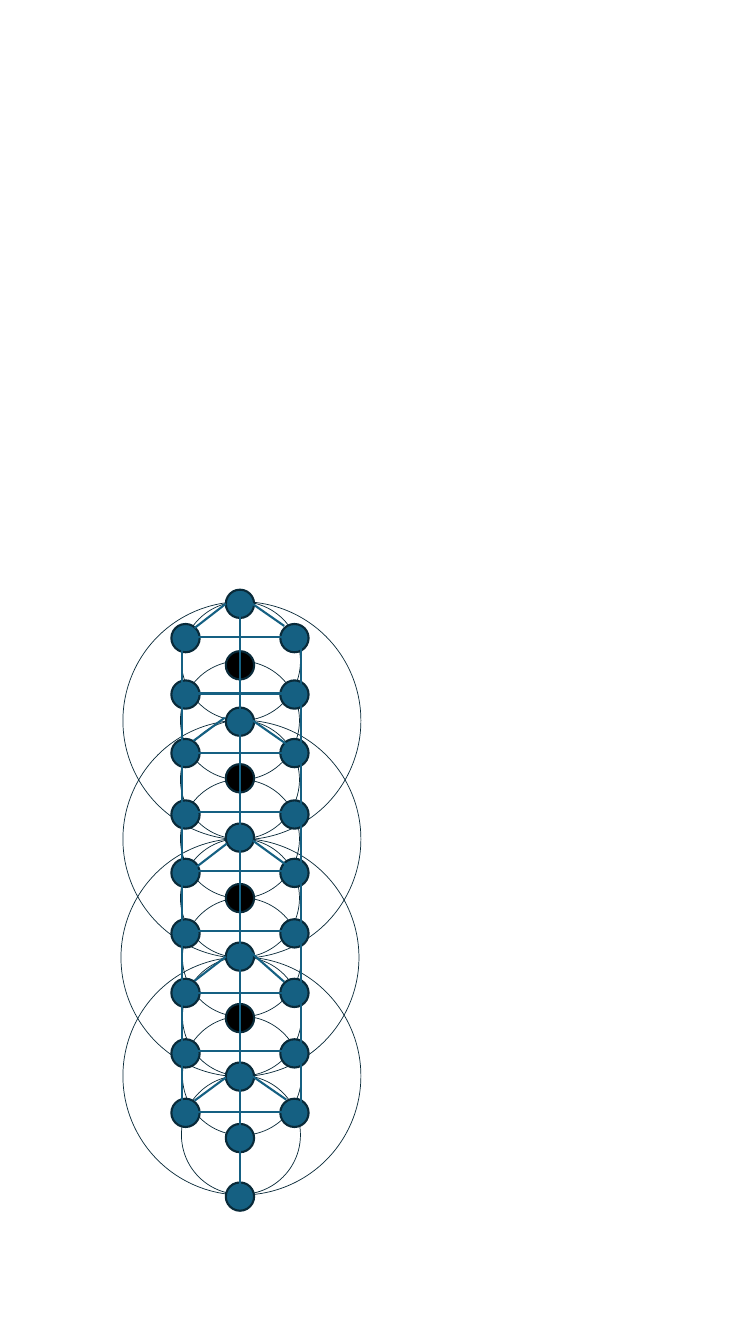
"""Draw a tall lattice of overlapping rings, discs and links."""
import itertools
from typing import NamedTuple, Optional

import pptx
import pptx.dml.color
import pptx.enum.shapes
import pptx.oxml.ns
import pptx.util

Pt = pptx.util.Pt
COLORS = {"outline": "092A39", "disc": "156082", "dark": "000000", "link": "156082"}
RING, BIG_RING, DISC = 85, 170, 20.2
RING_TOP, RING_STEP = 429.8, 42.3
RING_LEFTS = [129.6] + [128.9] * 4 + [130.3] * 3 + [129.6]
BIG_RING_LEFTS = [87.8, 87.8, 86.4, 87.8]
AXIS_TOPS = [421.2, 465.1, 505.4, 545.8, 588.2, 631.4, 673.2, 717.1, 758.9, 802.8, 844.6]
SIDE_TOPS = [445.7, 486, 527.8, 571.7, 613.4, 656.6, 699.1, 742.3, 784.8]
AXIS_LEFT, SIDE_LEFTS = 161.3, (122.4, 200.2)
DARK_ROWS = (1, 3, 5, 7)
RUNG_YS = [455, 495.4, 537.8, 580.3, 622.1, 665.3, 709.2, 751, 794.2]
RUNG_LEFTS, RUNG_WIDTH = (139, 138.2, 136.8), 66.2


class Circle(NamedTuple):
    left: float
    top: float
    size: float
    width: float
    fill: Optional[str] = None


class Link(NamedTuple):
    x1: float
    y1: float
    x2: float
    y2: float


RAILS = [Link(130.3, 794.9, 130.3, 451.4), Link(215.3, 793.4, 215.3, 450)]
SPINE = Link(171.4, 856.8, 171.4, 424.8)
ROOFS = [
    Link(139, 448.6, 161.3, 431.3), Link(138.2, 529.2, 160.6, 512.6),
    Link(140.4, 619.2, 162, 602.6), Link(139, 700.6, 161.3, 683.3),
    Link(139, 786.2, 161.3, 769.7), Link(203, 447.1, 179.3, 430.6),
    Link(204.5, 531.4, 180.7, 514.8), Link(204.5, 617.8, 180.7, 600.5),
    Link(203, 701.3, 179.3, 680.4), Link(204.5, 785.5, 180.7, 769),
]


def rgb(name: str) -> pptx.dml.color.RGBColor:
    """Return the named colour."""
    return pptx.dml.color.RGBColor.from_string(COLORS[name])


def draw_circle(s: pptx.slide.Slide, c: Circle) -> None:
    """Draw one ring or disc."""
    sp = s.shapes.add_shape(pptx.enum.shapes.MSO_SHAPE.OVAL,
                            Pt(c.left), Pt(c.top), Pt(c.size), Pt(c.size))
    sp.shadow.inherit = False
    if c.fill:
        sp.fill.solid()
        sp.fill.fore_color.rgb = rgb(c.fill)
    else:
        sp.fill.background()
    sp.line.color.rgb = rgb("outline")
    sp.line.width = Pt(c.width)


def draw_link(s: pptx.slide.Slide, link: Link) -> None:
    """Draw one straight link without a shadow."""
    cn = s.shapes.add_connector(pptx.enum.shapes.MSO_CONNECTOR.STRAIGHT,
                                *(Pt(v) for v in link))
    cn.line.color.rgb = rgb("link")
    cn.line.width = Pt(1.5)
    pptx.oxml.ns.qn("a:effectLst")
    sp_pr = cn._element.spPr
    sp_pr.append(sp_pr.makeelement(pptx.oxml.ns.qn("a:effectLst"), {}))


def main() -> None:
    """Build and save the slide."""
    prs = pptx.Presentation()
    prs.slide_width, prs.slide_height = Pt(540), Pt(960)
    s = prs.slides.add_slide(prs.slide_layouts[6])

    rings = [Circle(x, RING_TOP + i * RING_STEP, RING, 0.5)
             for i, x in enumerate(RING_LEFTS)]
    big_rings = [Circle(x, RING_TOP + 2 * i * RING_STEP, BIG_RING, 0.5)
                 for i, x in enumerate(BIG_RING_LEFTS)]
    axis = [Circle(AXIS_LEFT, y, DISC, 1.5, "dark" if i in DARK_ROWS else "disc")
            for i, y in enumerate(AXIS_TOPS)]
    sides = [Circle(x, y, DISC, 1.5, "disc")
             for x, y in itertools.product(SIDE_LEFTS, SIDE_TOPS)]
    for circle in rings + big_rings + axis + sides:
        draw_circle(s, circle)

    rungs = [Link(x, y, x + RUNG_WIDTH, y)
             for x, y in zip(itertools.cycle(RUNG_LEFTS), RUNG_YS)]
    for link in RAILS + rungs + [SPINE] + ROOFS:
        draw_link(s, link)
    prs.save("out.pptx")


if __name__ == "__main__":
    main()
